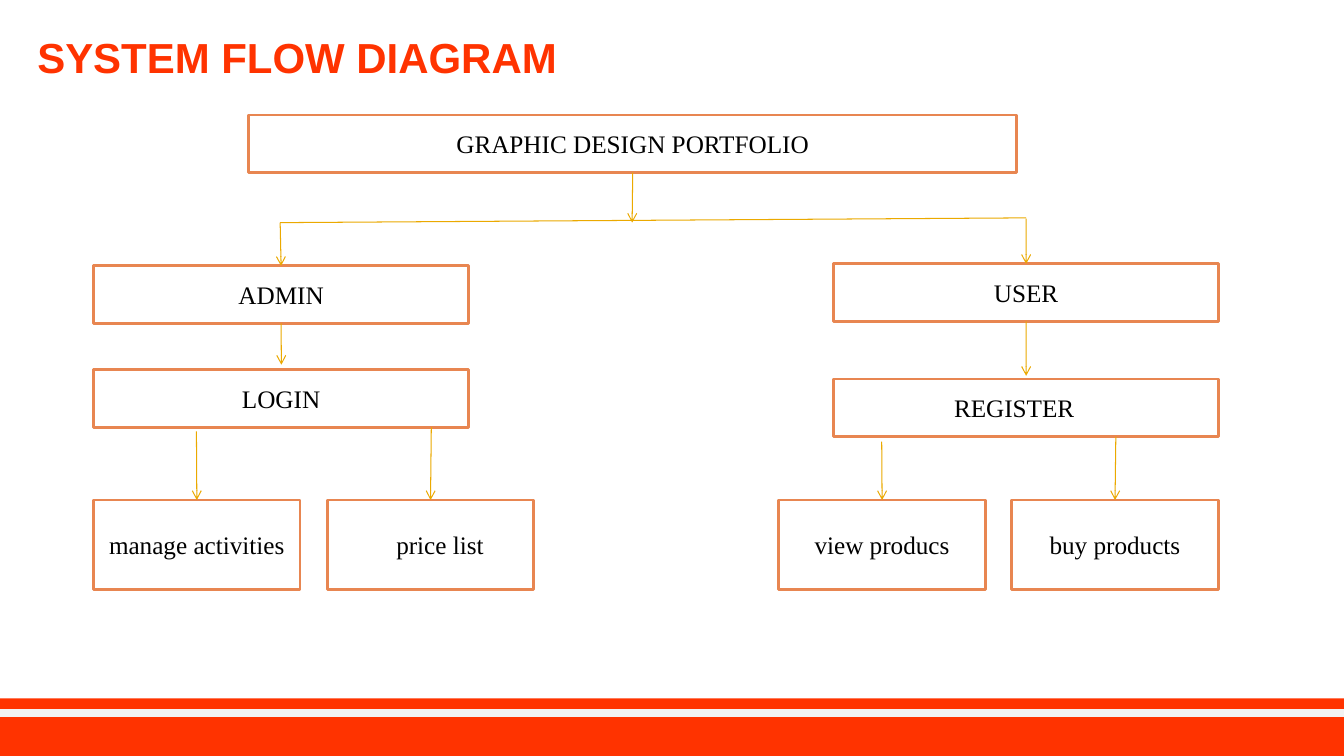
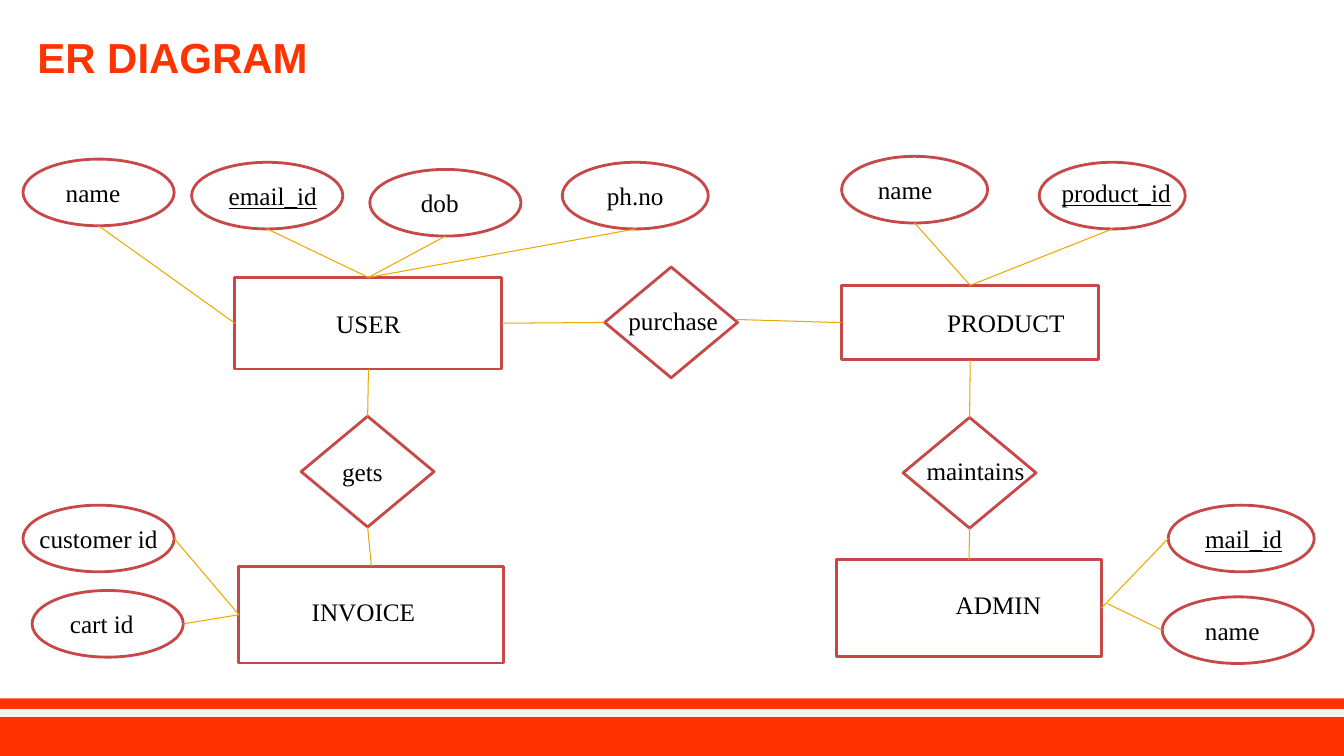
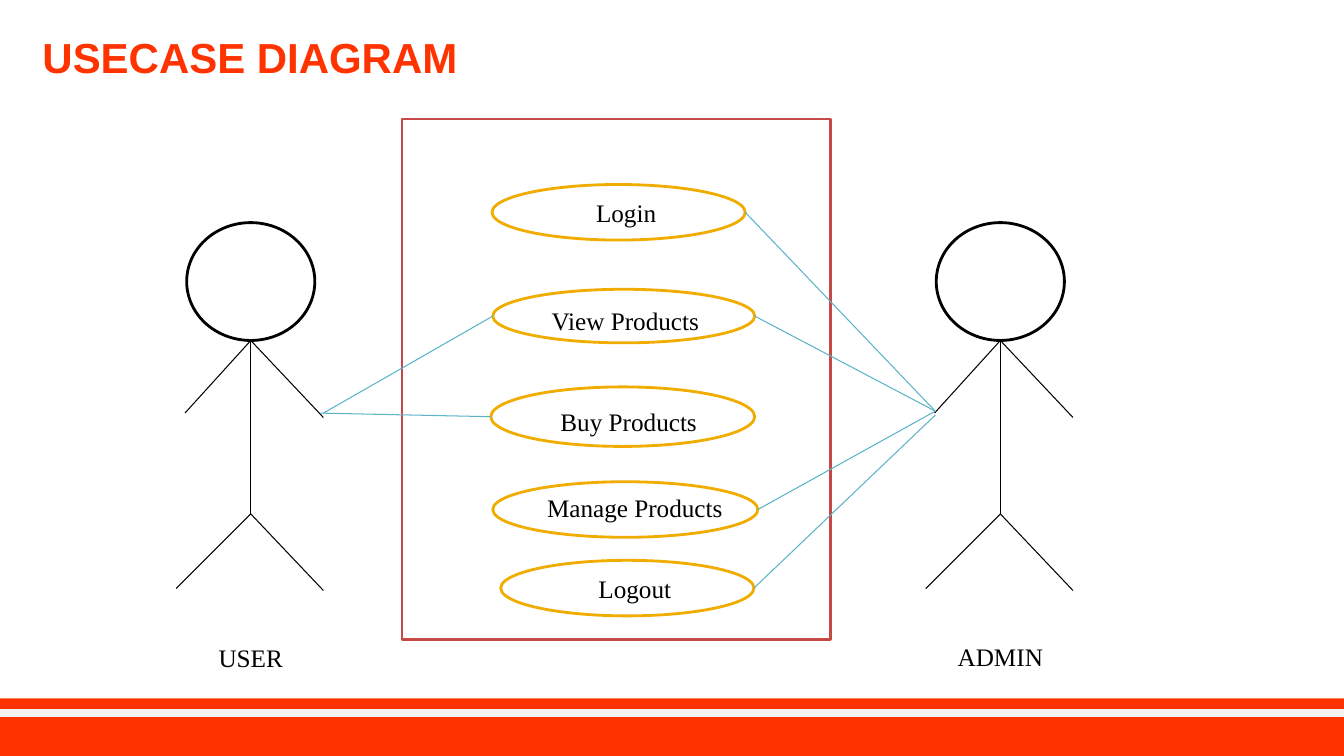
from lxml import etree
from pptx import Presentation
from pptx import util as u
from pptx.dml.color import RGBColor
from pptx.enum import shapes, text
from pptx.oxml.ns import qn

COLORS = {
    "brand": "FF3300", "stripe": "F2F2F2", "white": "FFFFFF", "ink": "000000",
    "orange": "E88651", "red": "C64847", "gold": "F0AD00", "amber": "EBA900",
    "blue": "5BB3CA",
}
RECT = shapes.MSO_SHAPE.RECTANGLE
OVAL = shapes.MSO_SHAPE.OVAL
DIAMOND = shapes.MSO_SHAPE.DIAMOND
TOP, LEFT, BOTTOM, RIGHT = range(4)
SIDES = {TOP: (0.5, 0), LEFT: (0, 0.5), BOTTOM: (0.5, 1), RIGHT: (1, 0.5)}

# key: label, left, top, label shift right, label shift down
FLOW_GROUPS = [
    (RECT, (19.35, 1.45), "orange", {
        "portfolio": ("GRAPHIC DESIGN PORTFOLIO", 6.27, 2.9, 0, 0),
    }),
    (RECT, (9.7, 1.45), "orange", {
        "user": ("USER", 21.01, 6.65, 0, 0),
        "register": ("REGISTER", 21.01, 9.55, -0.3, 0),
    }),
    (RECT, (9.45, 1.45), "orange", {
        "admin": ("ADMIN", 2.36, 6.7, 0, 0),
        "login": ("LOGIN", 2.36, 9.32, 0, 0),
    }),
    (RECT, (5.2, 2.26), "orange", {
        "manage": ("manage activities", 2.36, 12.6, 0, 0),
        "prices": ("price list", 8.25, 12.6, 0.24, 0),
        "view": ("view producs", 19.63, 12.6, 0, 0),
        "buy": ("buy products", 25.5, 12.6, 0, 0),
    }),
]
FLOW_BRANCH = [((7.06, 5.61), (25.86, 5.49))]
FLOW_ARROWS = [
    (("portfolio", BOTTOM), (15.93, 5.61)),
    ((7.06, 5.61), ("admin", TOP)),
    ((25.86, 5.51), ("user", TOP)),
    (("admin", BOTTOM), (7.09, 9.19)),
    (("user", BOTTOM), (25.86, 9.47)),
    ((4.95, 10.87), ("manage", TOP)),
    ((10.87, 10.77), ("prices", TOP)),
    ((22.22, 11.13), ("view", TOP)),
    ((28.12, 11), ("buy", TOP)),
]

ER_GROUPS = [
    (RECT, (6.73, 2.31), "red", {"user": ("USER", 5.92, 6.99, 0, 0)}),
    (RECT, (6.48, 1.88), "red", {"product": ("PRODUCT", 21.21, 7.19, 0.9, 0)}),
    (RECT, (6.68, 2.44), "red", {
        "invoice": ("INVOICE", 6.02, 14.27, -0.2, -0.08),
        "admin": ("ADMIN", 21.08, 14.1, 0.74, -0.08),
    }),
    (DIAMOND, (3.35, 2.79), "red", {
        "gets": ("gets", 7.59, 10.49, -0.13, 0),
        "purchase": ("purchase", 15.24, 6.73, 0.05, -0.05),
        "maintains": ("maintains", 22.76, 10.52, 0.15, -0.05),
    }),
    (OVAL, (3.81, 1.68), "red", {
        "user name": ("name", 0.58, 4.01, -0.14, 0),
        "email": ("email_id", 4.83, 4.09, 0.14, 0),
        "dob": ("dob", 9.32, 4.27, -0.14, 0),
        "customer": ("customer id", 0.58, 12.73, 0, 0),
        "cart": ("cart id", 0.81, 14.88, -0.15, 0),
        "admin name": ("name", 29.29, 15.04, -0.14, 0),
    }),
    (OVAL, (3.68, 1.68), "red", {
        "phone": ("ph.no", 14.17, 4.09, 0, 0),
        "product name": ("name", 21.21, 3.94, -0.24, 0),
        "product id": ("product_id", 26.19, 4.09, 0.1, -0.08),
        "mail": ("mail_id", 29.44, 12.73, 0.06, 0),
    }),
]
KEY_ATTRIBUTES = {"email_id", "product_id", "mail_id"}
ER_LINKS = [
    (("user name", BOTTOM), ("user", LEFT)),
    (("email", BOTTOM), ("user", TOP)),
    (("dob", BOTTOM), ("user", TOP)),
    (("phone", BOTTOM), ("user", TOP)),
    (("purchase", LEFT), ("user", RIGHT)),
    (("product", LEFT), (18.54, 8.05)),
    (("product name", BOTTOM), ("product", TOP)),
    (("product id", BOTTOM), ("product", TOP)),
    (("gets", TOP), ("user", BOTTOM)),
    (("invoice", TOP), ("gets", BOTTOM)),
    (("maintains", TOP), ("product", BOTTOM)),
    (("admin", TOP), ("maintains", BOTTOM)),
    (("customer", RIGHT), ("invoice", LEFT)),
    (("cart", RIGHT), ("invoice", LEFT)),
    (("admin", RIGHT), ("mail", LEFT)),
    ((27.91, 15.21), ("admin name", LEFT)),
]

USECASE_GROUPS = [
    (RECT, (10.8, 13.11), "red", {"system": ("", 10.13, 3, 0, 0)}),
    (OVAL, (6.38, 1.4), "gold", {
        "login": ("Login", 12.4, 4.65, 0.19, 0),
        "logout": ("Logout", 12.62, 14.12, 0.19, 0),
    }),
    (OVAL, (6.6, 1.35), "gold", {"view": ("View Products", 12.42, 7.29, 0.04, 0.12)}),
    (OVAL, (6.65, 1.5), "gold", {"buy": ("Buy Products", 12.37, 9.75, 0.15, 0.12)}),
    (OVAL, (6.68, 1.4), "gold", {"manage": ("Manage Products", 12.42, 12.14, 0.24, -0.06)}),
]
USECASE_LINKS = [
    ((8.15, 10.41), ("view", LEFT)),
    ((8.08, 10.41), ("buy", LEFT)),
    (("login", RIGHT), (23.55, 10.34)),
    (("view", RIGHT), (23.57, 10.36)),
    (("manage", RIGHT), (23.57, 10.36)),
    (("logout", RIGHT), (23.57, 10.46)),
]
ACTORS = [("USER", 6.32, 16.05), ("ADMIN", 25.21, 16.03)]
HEAD_W, HEAD_H, HEAD_TOP = 3.23, 2.97, 5.61
NECK, HIP = 8.58, 12.95
LIMBS = [(NECK, 0, HIP), (NECK, 1.83, 10.52), (NECK, -1.66, 10.41),
         (HIP, 1.83, 14.88), (HIP, -1.88, 14.83)]


def rgb(name):
    return RGBColor.from_string(COLORS[name])


def write(sp, label):
    p = sp.text_frame.paragraphs[0]
    p.text = label
    p.alignment = text.PP_ALIGN.CENTER
    f = p.font
    f.name, f.size, f.color.rgb = "Times New Roman", u.Pt(18), rgb("ink")
    if label in KEY_ATTRIBUTES:
        f.underline = True


def add_box(s, kind, x, y, w, h, line, fill="white"):
    sp = s.shapes.add_shape(kind, u.Cm(x), u.Cm(y), u.Cm(w), u.Cm(h))
    sp.shadow.inherit = False
    sp.fill.solid()
    sp.fill.fore_color.rgb = rgb(fill)
    if line:
        sp.line.color.rgb = rgb(line)
        sp.line.width = u.Pt(2)
    else:
        sp.line.fill.background()
    return sp


def add_nodes(s, groups):
    nodes = {}
    for kind, (w, h), line, items in groups:
        for key, (label, x, y, dx, dy) in items.items():
            sp = nodes[key] = add_box(s, kind, x, y, w, h, line)
            if not label:
                continue
            tf = sp.text_frame
            tf.word_wrap = False
            tf.vertical_anchor = text.MSO_ANCHOR.MIDDLE
            tf.margin_left, tf.margin_right = (u.Cm(max(0, 2 * d)) for d in (dx, -dx))
            tf.margin_top, tf.margin_bottom = (u.Cm(max(0, 2 * d)) for d in (dy, -dy))
            write(sp, label)
    return nodes


def locate(nodes, end):
    if not isinstance(end[0], str):
        return u.Cm(end[0]), u.Cm(end[1])
    sp = nodes[end[0]]
    fx, fy = SIDES[end[1]]
    return int(sp.left + fx * sp.width), int(sp.top + fy * sp.height)


def add_line(s, start, end, color, nodes=None, width=0.75, arrow=False):
    c = s.shapes.add_connector(shapes.MSO_CONNECTOR.STRAIGHT,
                               *locate(nodes, start), *locate(nodes, end))
    for point, connect in ((start, c.begin_connect), (end, c.end_connect)):
        if isinstance(point[0], str):
            sp = nodes[point[0]]
            if sp.auto_shape_type != OVAL:
                connect(sp, point[1])
    c.line.color.rgb = rgb(color)
    c.line.width = u.Pt(width)
    if arrow:
        etree.SubElement(c.line._get_or_add_ln(), qn("a:tailEnd"), type="arrow")
    etree.SubElement(c.element.spPr, qn("a:effectLst"))
    return c


def add_links(s, nodes, links, color, arrow=False):
    for start, end in links:
        add_line(s, start, end, color, nodes, arrow=arrow)


def add_actor(s, label, x, label_top):
    add_box(s, OVAL, x - HEAD_W / 2, HEAD_TOP, HEAD_W, HEAD_H, "ink")
    for y, dx, end_y in LIMBS:
        add_line(s, (x, y), (x + dx, end_y), "ink")
    tb = s.shapes.add_textbox(u.Cm(x - 2.55), u.Cm(label_top), u.Cm(5.1), u.Cm(1.02))
    tb.text_frame.word_wrap = True
    write(tb, label)


def add_slide(prs, title, left=0.58):
    s = prs.slides.add_slide(prs.slide_layouts[5])
    sp = s.shapes.title
    sp.left, sp.top, sp.width, sp.height = (u.Cm(v) for v in (left, 0.46, 26.82, 2.11))
    tf = sp.text_frame
    tf.vertical_anchor = text.MSO_ANCHOR.MIDDLE
    tf.margin_left = tf.margin_right = u.Cm(0.36)
    tf.margin_top = tf.margin_bottom = u.Cm(0.18)
    p = tf.paragraphs[0]
    p.text = title
    p.alignment = text.PP_ALIGN.LEFT
    p.line_spacing = 0.9
    f = p.font
    f.name, f.size, f.bold, f.color.rgb = "Arial", u.Pt(30), True, rgb("brand")
    return s


def add_footer(s):
    band = add_box(s, RECT, -0.05, 17.6, 33.93, 1.45, None, "brand")
    stripe = add_line(s, (-0.05, 17.96), (33.87, 17.96), "stripe", width=6)
    tree = s.slide_layout.shapes.element
    for i, part in enumerate((band, stripe)):
        tree.insert(2 + i, part.element)


def main():
    prs = Presentation()
    prs.slide_width, prs.slide_height = u.Cm(33.87), u.Cm(19.05)

    s = add_slide(prs, "SYSTEM FLOW DIAGRAM")
    add_footer(s)
    nodes = add_nodes(s, FLOW_GROUPS)
    add_links(s, nodes, FLOW_BRANCH, "amber")
    add_links(s, nodes, FLOW_ARROWS, "amber", arrow=True)

    s = add_slide(prs, "ER DIAGRAM")
    add_links(s, add_nodes(s, ER_GROUPS), ER_LINKS, "amber")

    s = add_slide(prs, "USECASE DIAGRAM", 0.71)
    for actor in ACTORS:
        add_actor(s, *actor)
    add_links(s, add_nodes(s, USECASE_GROUPS), USECASE_LINKS, "blue")

    prs.save("out.pptx")


if __name__ == "__main__":
    main()
